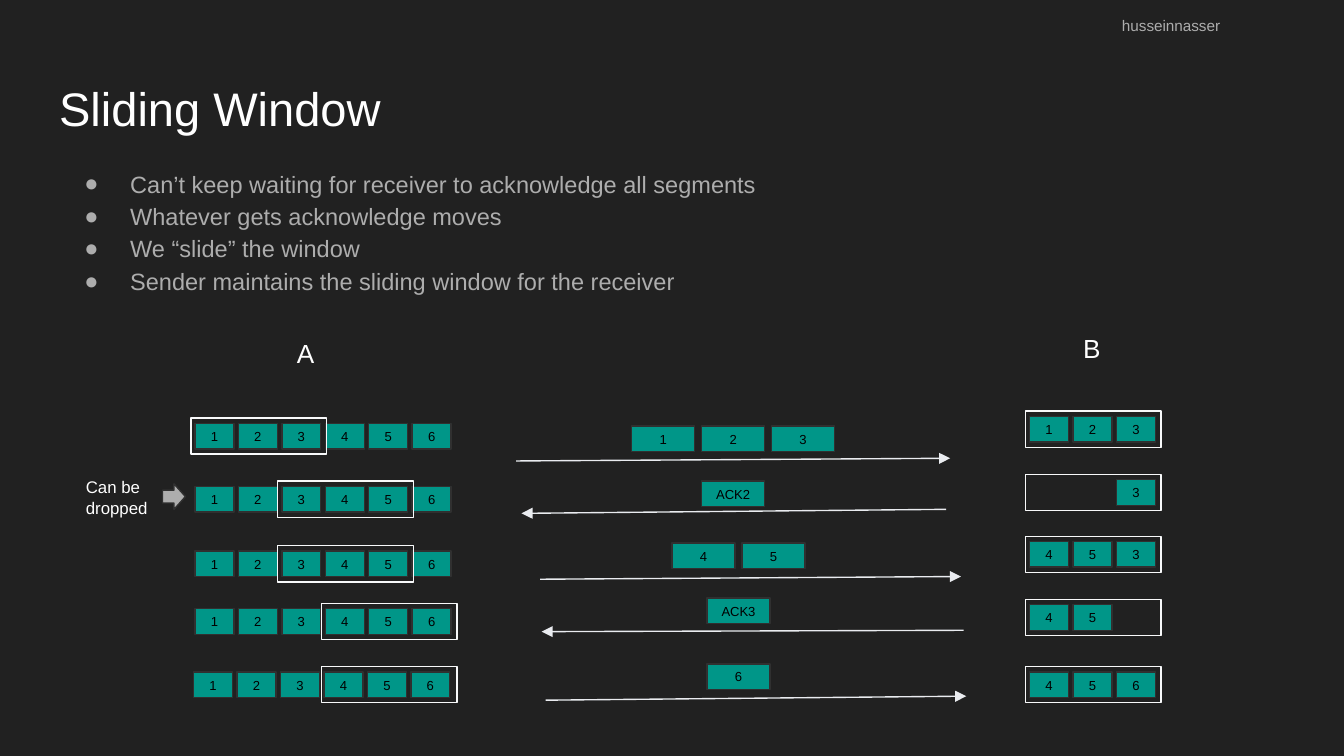
from lxml.etree import SubElement
from pptx import Presentation
from pptx.dml.color import RGBColor
from pptx.enum.shapes import MSO_CONNECTOR as CONNECTOR, MSO_SHAPE as SHAPE
from pptx.enum.text import MSO_ANCHOR as ANCHOR, PP_ALIGN as ALIGN
from pptx.oxml.ns import qn
from pptx.util import Inches, Pt

COLORS = {
    "background": "212121", "white": "FFFFFF", "gray": "ADADAD",
    "segment": "009688", "outline": "303030", "window": "F8F9FA",
    "arrow": "EAECF0", "black": "000000",
}
BULLETS = [
    "Can’t keep waiting for receiver to acknowledge all segments",
    "Whatever gets acknowledge moves",
    "We “slide” the window",
    "Sender maintains the sliding window for the receiver",
]
PITCH = 0.97 / 3
PACKET_PITCH = 0.52
SENDER_ROWS = [(1.45, 3.15, 0), (1.45, 3.62, 2), (1.45, 4.1, 2),
               (1.45, 4.53, 3), (1.44, 5, 3)]
RECEIVER_ROWS = [(3.06, "123"), (3.53, "  3"), (3.99, "453"),
                 (4.46, "45 "), (4.96, "456")]
PACKETS = [(4.7, 3.17, ["1", "2", "3"]), (5.22, 3.58, ["ACK2"]),
           (5, 4.04, ["4", "5"]), (5.26, 4.45, ["ACK3"]), (5.26, 4.94, ["6"])]
ARROWS = [(3.84, 3.43, 7.07, 3.41), (7.04, 3.79, 3.88, 3.82),
          (4.02, 4.31, 7.15, 4.29), (7.17, 4.69, 4.03, 4.7),
          (4.06, 5.21, 7.19, 5.18)]


def rgb(name):
    """Return a named colour."""
    return RGBColor.from_string(COLORS[name])


def write(p, text, size, color):
    """Add one formatted run to a paragraph."""
    r = p.add_run()
    r.text = text
    r.font.name = "Arial"
    r.font.size = Pt(size)
    r.font.color.rgb = rgb(color)


def set_frame(tf, anchor=ANCHOR.TOP):
    """Set wrapping, margins and anchor of a text frame."""
    tf.word_wrap = True
    tf.vertical_anchor = anchor
    tf.margin_left = tf.margin_right = Inches(0.1)
    tf.margin_top = tf.margin_bottom = Inches(0.1)


def add_text(s, box, text, size, color="white", anchor=ANCHOR.TOP):
    """Add a text box and return its paragraph."""
    tf = s.shapes.add_textbox(*map(Inches, box)).text_frame
    set_frame(tf, anchor)
    p = tf.paragraphs[0]
    write(p, text, size, color)
    return p


def add_title(s, text):
    """Place and fill the title placeholder."""
    sp = s.shapes.title
    sp.left, sp.top, sp.width, sp.height = map(Inches, (0.34, 0.49, 9.32, 0.63))
    set_frame(sp.text_frame)
    p = sp.text_frame.paragraphs[0]
    p.alignment = ALIGN.LEFT
    write(p, text, 25.2, "white")


def add_bullets(s, box, items):
    """Add a bulleted list."""
    tf = s.shapes.add_textbox(*map(Inches, box)).text_frame
    set_frame(tf)
    for i, item in enumerate(items):
        p = tf.add_paragraph() if i else tf.paragraphs[0]
        pPr = p._p.get_or_add_pPr()
        pPr.set("marL", str(Inches(0.5)))
        pPr.set("indent", str(Inches(-0.34)))
        color = SubElement(pPr, qn("a:buClr"))
        SubElement(color, qn("a:srgbClr"), val=COLORS["gray"])
        SubElement(pPr, qn("a:buFont"), typeface="Arial")
        SubElement(pPr, qn("a:buChar"), char="●")
        p.line_spacing = 1.15
        write(p, item, 12.6, "gray")


def add_box(s, box, fill=None, line="outline", shape=SHAPE.RECTANGLE):
    """Add a flat outlined shape, unfilled unless a fill is named."""
    sp = s.shapes.add_shape(shape, *map(Inches, box))
    sp.shadow.inherit = False
    if fill:
        sp.fill.solid()
        sp.fill.fore_color.rgb = rgb(fill)
    else:
        sp.fill.background()
    sp.line.color.rgb = rgb(line)
    sp.line.width = Pt(0.75)
    return sp


def add_segment(s, x, y, text, width=0.29):
    """Add a labelled segment."""
    tf = add_box(s, (x, y, width, 0.19), "segment").text_frame
    set_frame(tf, ANCHOR.MIDDLE)
    p = tf.paragraphs[0]
    p.alignment = ALIGN.CENTER
    write(p, text, 7, "black")


def add_segments(s, x, y, labels, pitch=PITCH, width=0.29):
    """Add a row of segments, leaving blank slots empty."""
    for i, label in enumerate(labels):
        if label.strip():
            add_segment(s, x + i * pitch, y, label, width)


def add_window(s, x, y):
    """Add a window frame three segments wide."""
    add_box(s, (x, y, 1.01, 0.27), line="window")


def add_arrow(s, ends):
    """Add a line with a triangle at its end."""
    c = s.shapes.add_connector(CONNECTOR.STRAIGHT, *map(Inches, ends))
    c.line.color.rgb = rgb("arrow")
    c.line.width = Pt(0.75)
    SubElement(c.line._get_or_add_ln(), qn("a:tailEnd"), type="triangle")
    SubElement(c._element.spPr, qn("a:effectLst"))


def main():
    """Build the sliding window slide."""
    prs = Presentation()
    prs.slide_width = Inches(10)
    prs.slide_height = Inches(10 * 9 / 16)
    s = prs.slides.add_slide(prs.slide_layouts[5])
    s.background.fill.solid()
    s.background.fill.fore_color.rgb = rgb("background")

    add_title(s, "Sliding Window")
    add_bullets(s, (0.37, 1.13, 9.32, 1.14), BULLETS)
    p = add_text(s, (8.25, 0.07, 1.7, 0.27), "husseinnasser", 8.2, "gray",
                 ANCHOR.MIDDLE)
    p.line_spacing = 0.7
    add_text(s, (7.96, 2.37, 0.41, 0.44), "B", 14)
    add_text(s, (2.11, 2.41, 0.41, 0.44), "A", 14)

    for ends in ARROWS:
        add_arrow(s, ends)
    for x, y, labels in PACKETS:
        add_segments(s, x, y, labels, PACKET_PITCH, 0.47)
    for x, y, acknowledged in SENDER_ROWS:
        add_segments(s, x, y, "123456")
        add_window(s, 1.42 + acknowledged * PITCH, y - 0.04)
    for y, labels in RECEIVER_ROWS:
        add_segments(s, 7.66, y + 0.04, labels)
        add_window(s, 7.63, y)

    add_text(s, (0.54, 3.45, 0.71, 0.5), "Can be dropped", 9)
    add_box(s, (1.21, 3.6, 0.17, 0.19), "gray", shape=SHAPE.RIGHT_ARROW)
    prs.save("out.pptx")


if __name__ == "__main__":
    main()
